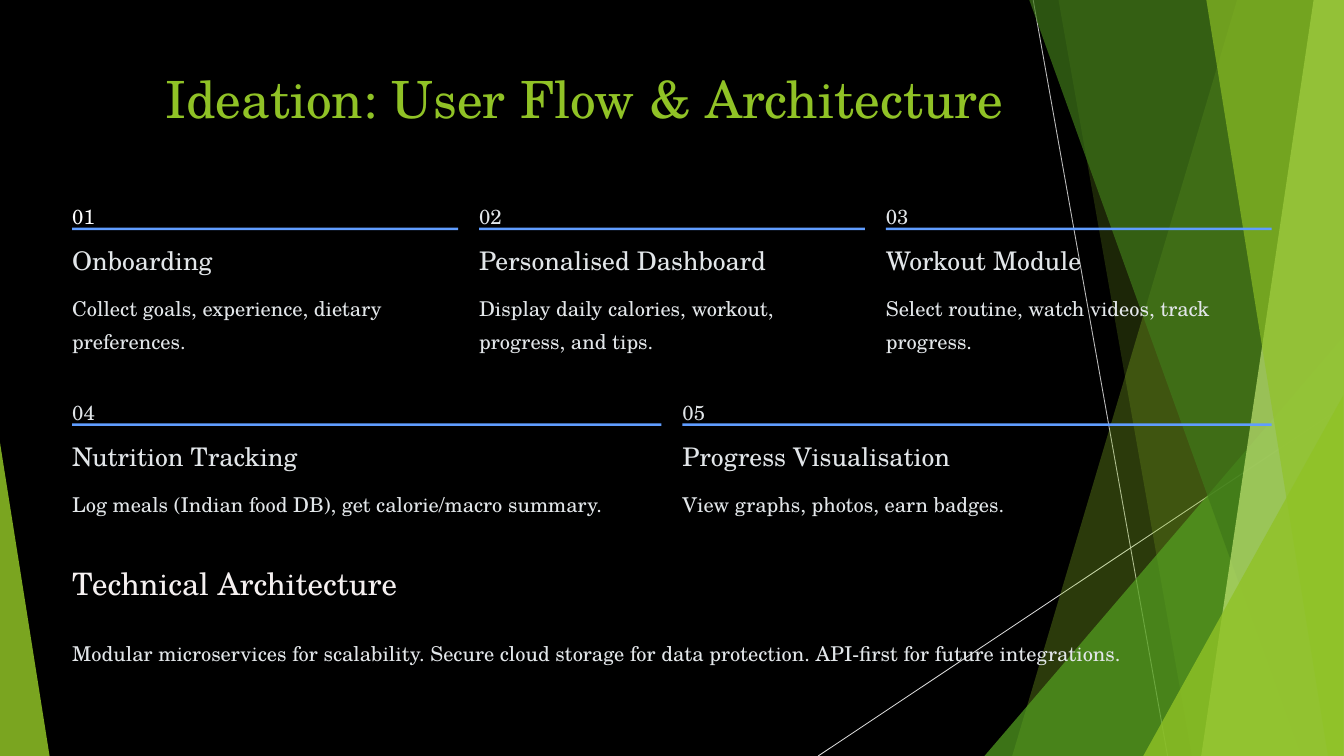
from lxml.etree import SubElement
from pptx import Presentation
from pptx.dml.color import RGBColor
from pptx.enum.shapes import MSO_CONNECTOR as CONNECTOR, MSO_SHAPE as SHAPE
from pptx.enum.text import MSO_ANCHOR as ANCHOR, PP_ALIGN as ALIGN
from pptx.oxml.ns import qn
from pptx.util import Inches, Pt

COLUMNS, ROWS = 16, 9
SLIDE_WIDTH, SLIDE_HEIGHT = Inches(16), Inches(9)
MARGIN, GAP = 0.86, 0.25
CONTENT_WIDTH = COLUMNS - 2 * MARGIN
FONT = "TeX Gyre Schola"
COLORS = {
    "background": "000000", "lime": "90C226", "green": "54A021",
    "forest": "3F7819", "pale": "C0E474", "gray": "BFBFBF",
    "silver": "D9D9D9", "blue": "609DFF", "white": "FFFFFF",
    "text": "E2E6E9", "heading": "F5F0F0",
}
STEP_ROWS = [
    (2.33, 0.79, [
        ("01", "Onboarding", "Collect goals, experience, dietary preferences."),
        ("02", "Personalised Dashboard",
         "Display daily calories, workout, progress, and tips."),
        ("03", "Workout Module", "Select routine, watch videos, track progress."),
    ]),
    (4.66, 0.39, [
        ("04", "Nutrition Tracking",
         "Log meals (Indian food DB), get calorie/macro summary."),
        ("05", "Progress Visualisation", "View graphs, photos, earn badges."),
    ]),
]


def color(name):
    return RGBColor.from_string(COLORS[name])


def across(columns):
    return round(SLIDE_WIDTH * columns / COLUMNS)


def down(rows):
    return round(SLIDE_HEIGHT * rows / ROWS)


def place(left, top, width, height):
    return across(left), down(top), across(width), down(height)


def paint(shape, name, opacity=100):
    shape.shadow.inherit = False
    shape.fill.solid()
    shape.fill.fore_color.rgb = color(name)
    shape.line.fill.background()
    if opacity < 100:
        tint = shape.fill._xPr.find(qn("a:solidFill"))[0]
        SubElement(tint, qn("a:alpha"), val=str(opacity * 1000))


def add_line(slide, start, end, name):
    line = slide.shapes.add_connector(
        CONNECTOR.STRAIGHT, across(start[0]), down(start[1]),
        across(end[0]), down(end[1]))
    line.line.color.rgb = color(name)
    line.line.width = Pt(0.75)
    SubElement(line._element.spPr, qn("a:effectLst"))


def add_band(slide, top_left, bottom_left, name, opacity):
    top = down(-0.01)
    builder = slide.shapes.build_freeform(across(top_left), top)
    builder.add_line_segments([
        (SLIDE_WIDTH, top), (SLIDE_WIDTH, SLIDE_HEIGHT),
        (across(bottom_left), SLIDE_HEIGHT)])
    paint(builder.convert_to_shape(), name, opacity)


def add_triangle(slide, left, width, height, apex, name, opacity):
    shape = slide.shapes.add_shape(
        SHAPE.ISOSCELES_TRIANGLE, *place(left, ROWS - height, width, height))
    shape.adjustments[0] = apex
    paint(shape, name, opacity)


def add_text(slide, box, text, size, spacing, name="text", wrap=False):
    frame = slide.shapes.add_textbox(*place(*box)).text_frame
    frame.margin_left = frame.margin_right = 0
    frame.margin_top = frame.margin_bottom = 0
    frame.word_wrap = wrap
    frame.vertical_anchor = ANCHOR.TOP
    paragraph = frame.paragraphs[0]
    paragraph.alignment = ALIGN.LEFT
    paragraph.line_spacing = Pt(spacing)
    run = paragraph.add_run()
    run.text = text
    run.font.name = FONT
    run.font.size = Pt(size)
    run.font.color.rgb = color(name)


def add_decoration(slide):
    add_line(slide, (12.3, 0), (13.9, ROWS), "gray")
    add_line(slide, (COLUMNS, 4.83), (9.74, ROWS), "silver")
    add_band(slide, 14.73, 12.05, "lime", 30)
    add_band(slide, 12.6, 14.19, "lime", 20)
    add_triangle(slide, 11.72, 4.28, 5, 1, "green", 72)
    add_band(slide, 12.25, 15.49, "forest", 70)
    add_band(slide, 15.64, 14.3, "pale", 70)
    add_band(slide, 14.36, 15.81, "lime", 65)
    add_triangle(slide, 13.61, 2.38, 4.29, 1, "lime", 80)
    add_triangle(slide, 0, 0.59, 3.73, 0, "lime", 85)


def add_step(slide, left, top, width, body_height, step):
    number, heading, body = step
    number_color = "white" if number == "01" else "text"
    add_text(slide, (left, top, 0.5, 0.31), number, 17.5, 28, number_color)
    bar = slide.shapes.add_shape(
        SHAPE.RECTANGLE, *place(left, top + 0.38, width, 0.03))
    paint(bar, "blue")
    add_text(slide, (left, top + 0.57, 3.5, 0.38), heading, 22, 27.5)
    add_text(slide, (left, top + 1.1, width, body_height), body, 17.5, 28,
             wrap=True)


def add_steps(slide):
    for top, body_height, steps in STEP_ROWS:
        width = (CONTENT_WIDTH - GAP * (len(steps) - 1)) / len(steps)
        for index, step in enumerate(steps):
            left = MARGIN + index * (width + GAP)
            add_step(slide, left, top, width, body_height, step)


def main():
    """Build the user flow and architecture slide."""
    presentation = Presentation()
    presentation.slide_width = SLIDE_WIDTH
    presentation.slide_height = SLIDE_HEIGHT
    slide = presentation.slides.add_slide(presentation.slide_layouts[6])
    slide.background.fill.solid()
    slide.background.fill.fore_color.rgb = color("background")
    add_decoration(slide)
    add_text(slide, (1.97, 0.77, 10.11, 0.77),
             "Ideation: User Flow & Architecture", 44, 55, "lime")
    add_steps(slide)
    add_text(slide, (MARGIN, 6.71, 4.02, 0.46), "Technical Architecture",
             26.5, 33, "heading")
    add_text(slide, (MARGIN, 7.54, CONTENT_WIDTH, 0.39),
             "Modular microservices for scalability. Secure cloud storage for "
             "data protection. API-first for future integrations.", 17.5, 28)
    presentation.save("out.pptx")


if __name__ == "__main__":
    main()
